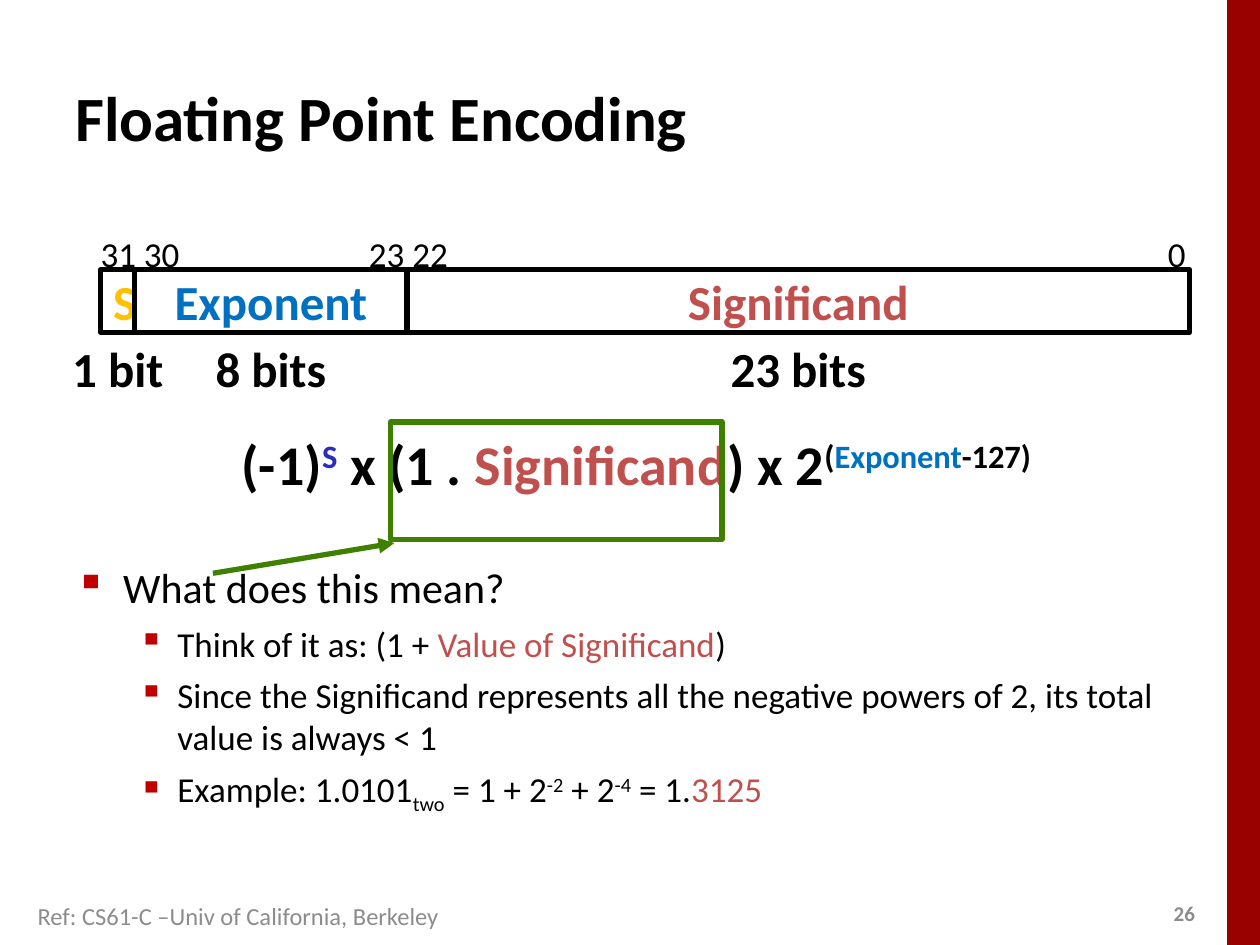
"""Build the slide on floating point encoding."""
from lxml.etree import SubElement
from pptx import Presentation
from pptx.dml.color import RGBColor
from pptx.enum.shapes import MSO_CONNECTOR, MSO_SHAPE
from pptx.enum.text import MSO_ANCHOR, PP_ALIGN
from pptx.oxml.ns import qn
from pptx.util import Inches, Pt

COLORS = {
    "black": "000000", "red": "990000", "bullet": "C00000", "gray": "8C8C8C",
    "gold": "FFC000", "blue": "0070C0", "navy": "2D2DB9", "rose": "C0504D",
    "green": "408000",
}
FIELDS = [
    ("S", "gold", 0.27, "1 bit", 0.97),
    ("Exponent", "blue", 2.16, "8 bits", 2.16),
    ("Significand", "rose", 6.21, "23 bits", 6.21),
]
MARKS = [("31 30", 0.7, 0.85), ("23 22", 2.83, 0.85), ("0", 9.17, 0.4)]
FORMULA = [
    ("(-1)", "black", 0), ("S", "navy", 30), (" x (1 . ", "black", 0),
    ("Significand", "rose", 0), (") x 2", "black", 0), ("(", "black", 30),
    ("Exponent", "blue", 30), ("-127)", "black", 30),
]
POINTS = [
    (0, [("What does this mean?", "black", 0)]),
    (1, [("Think of it as: (1 + ", "black", 0),
         ("Value of Significand", "rose", 0), (")", "black", 0)]),
    (1, [("Since the Significand represents all the negative powers of 2, "
          "its total value is always < 1", "black", 0)]),
    (1, [("Example: 1.0101", "black", 0), ("two", "black", -25),
         (" = 1 + 2", "black", 0), ("-2", "black", 30), (" + 2", "black", 0),
         ("-4", "black", 30), (" = 1.", "black", 0), ("3125", "rose", 0)]),
]
LEVELS = [(24, 0.38, 0.38), (20, 0.81, 0.31)]


def color(name):
    return RGBColor.from_string(COLORS[name])


def write(para, runs, size, bold=False):
    for text, tint, shift in runs:
        run = para.add_run()
        run.text = text
        font = run.font
        font.name, font.size, font.bold = "Calibri", Pt(size), bold
        font.color.rgb = color(tint)
        if shift:
            run._r.get_or_add_rPr().set("baseline", str(shift * 1000))


def frame(shape, align=PP_ALIGN.LEFT, anchor=MSO_ANCHOR.TOP):
    box = shape.text_frame
    box.word_wrap = True
    box.vertical_anchor = anchor
    box.paragraphs[0].alignment = align
    return box


def label(slide, area, runs, size, bold=False, **place):
    shape = slide.shapes.add_textbox(*map(Inches, area))
    box = frame(shape, **place)
    write(box.paragraphs[0], runs, size, bold)
    return box


def rect(slide, area, fill=None, line=None):
    shape = slide.shapes.add_shape(MSO_SHAPE.RECTANGLE, *map(Inches, area))
    shape.shadow.inherit = False
    if fill:
        shape.fill.solid()
        shape.fill.fore_color.rgb = color(fill)
    else:
        shape.fill.background()
    if line:
        shape.line.color.rgb = color(line)
        shape.line.width = Pt(3)
    else:
        shape.line.fill.background()
    return shape


def arrow(slide, start, end):
    line = slide.shapes.add_connector(
        MSO_CONNECTOR.STRAIGHT, *map(Inches, start + end))
    line.line.color.rgb = color("green")
    line.line.width = Pt(3)
    SubElement(line.line._get_or_add_ln(), qn("a:tailEnd"), type="triangle")
    SubElement(line._element.spPr, qn("a:effectLst"))


def bullet(para, left, hang):
    props = para._p.get_or_add_pPr()
    props.set("marL", str(Inches(left)))
    props.set("indent", str(-Inches(hang)))
    tint = SubElement(props, qn("a:buClr"))
    SubElement(tint, qn("a:srgbClr"), val=COLORS["bullet"])
    SubElement(props, qn("a:buChar"), char="▪")


def layout(slide):
    left, top, high = 0.8, 2.14, 0.5
    for name, tint, wide, bits, span in FIELDS:
        cell = rect(slide, (left, top, wide, high), line="black")
        box = frame(cell, PP_ALIGN.CENTER, MSO_ANCHOR.MIDDLE)
        write(box.paragraphs[0], [(name, tint, 0)], 28, True)
        start = left + (wide - span) / 2
        label(slide, (start, top + high, span, 0.57), [(bits, "black", 0)],
              28, True, align=PP_ALIGN.CENTER)
        left += wide
    for text, start, wide in MARKS:
        label(slide, (start, 1.8, wide, 0.44), [(text, "black", 0)], 20)


def points(slide):
    shape = slide.shapes.add_textbox(*map(Inches, (0.5, 4.41, 9, 2.6)))
    box = frame(shape)
    for row, (level, runs) in enumerate(POINTS):
        para = box.add_paragraph() if row else box.paragraphs[0]
        size, left, hang = LEVELS[level]
        para.level = level
        if row:
            para.space_before = Pt(5.6)
        bullet(para, left, hang)
        write(para, runs, size)


def main():
    deck = Presentation()
    deck.slide_width, deck.slide_height = Inches(10), Inches(7.5)
    slide = deck.slides.add_slide(deck.slide_layouts[6])
    rect(slide, (9.74, 0, 0.26, 7.5), fill="red")
    label(slide, (9.2, 7.1, 0.4, 0.3), [("26", "gray", 0)], 12, True,
          align=PP_ALIGN.CENTER, anchor=MSO_ANCHOR.MIDDLE)
    points(slide)
    label(slide, (0.5, 0.3, 9, 1.25),
          [("Floating Point Encoding", "black", 0)], 36, True,
          anchor=MSO_ANCHOR.MIDDLE)
    box = label(slide, (0.05, 3.5, 10, 0.48), FORMULA, 32, True,
                align=PP_ALIGN.CENTER)
    box.margin_top = box.margin_bottom = Inches(0.03)
    box.paragraphs[0].line_spacing = 0.75
    layout(slide)
    rect(slide, (3.1, 3.35, 2.63, 0.93), line="green")
    arrow(slide, (1.69, 4.55), (3.13, 4.31))
    label(slide, (0.2, 7.1, 4.97, 0.29),
          [("Ref: CS61-C –Univ of California, Berkeley", "gray", 0)], 14)
    deck.save("out.pptx")


if __name__ == "__main__":
    main()
